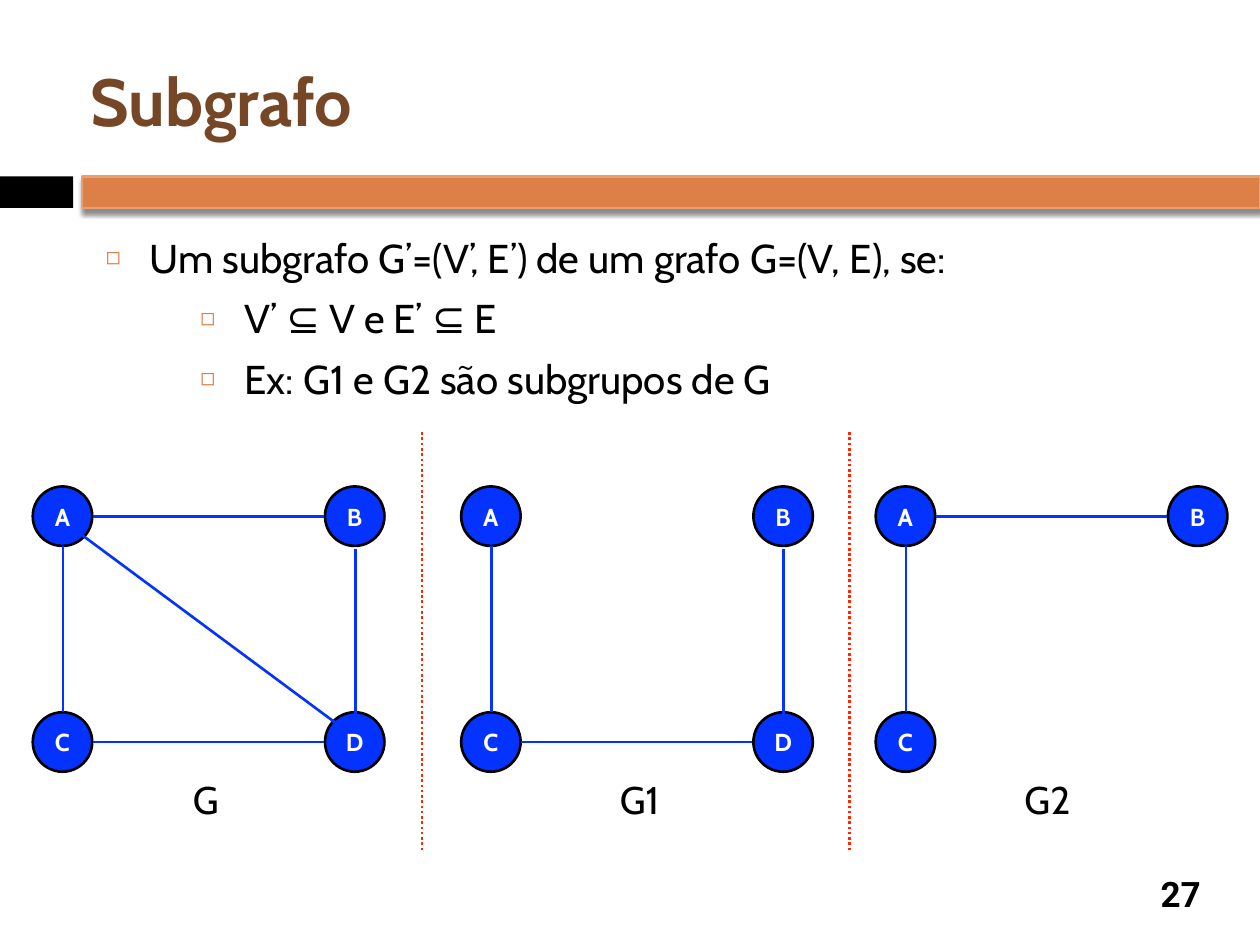
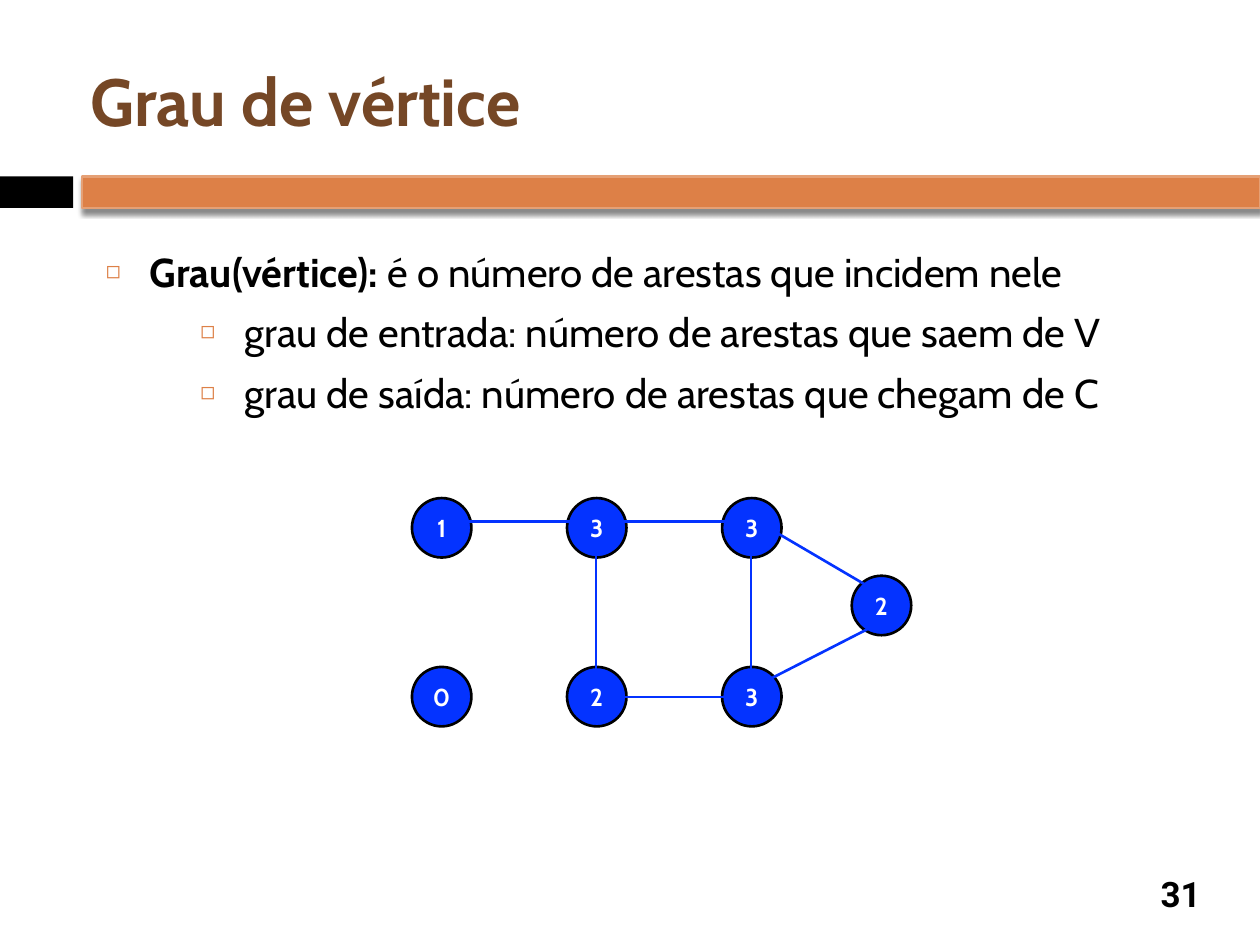
from lxml import etree
from pptx import Presentation
from pptx.dml.color import RGBColor
from pptx.enum.dml import MSO_LINE
from pptx.enum.shapes import MSO_CONNECTOR, MSO_SHAPE
from pptx.enum.text import MSO_ANCHOR as Anchor, MSO_AUTO_SIZE, PP_ALIGN as Align
from pptx.oxml import parse_xml
from pptx.oxml.ns import nsdecls, qn
from pptx.util import Pt

BLACK = RGBColor(0x00, 0x00, 0x00)
WHITE = RGBColor(0xFF, 0xFF, 0xFF)
BROWN = RGBColor(0x75, 0x47, 0x26)
ORANGE = RGBColor(0xDD, 0x80, 0x47)
LIGHT_ORANGE = RGBColor(0xE5, 0xA0, 0x75)
BLUE = RGBColor(0x04, 0x33, 0xFF)
RED = RGBColor(0xFF, 0x26, 0x00)

TITLE_FONT = {"name": "Cabin", "size": Pt(38), "bold": True}
BODY_FONT = {"name": "Cabin", "size": Pt(23), "bold": False}
NODE_FONT = {"name": "Cabin", "size": Pt(14), "bold": True}
CAPTION_FONT = {"name": "Cabin", "size": Pt(22), "bold": False}
NUMBER_FONT = {"name": "Roboto", "size": Pt(20), "bold": True}

FRAME = {
    "margin_left": Pt(3.6), "margin_top": Pt(3.6),
    "margin_right": Pt(3.6), "margin_bottom": Pt(3.6),
    "auto_size": MSO_AUTO_SIZE.NONE, "word_wrap": True,
}
TITLE_PLACE = {"left": Pt(48.24), "top": Pt(18), "width": Pt(642.24), "height": Pt(77.76)}
BODY_PLACE = {"left": Pt(56.88), "width": Pt(624.96), "height": Pt(114.5)}

NODE_SIZE = 34
LINE_WIDTH = Pt(1.5)

BULLET_XML = (
    f'<a:buClr {nsdecls("a")}><a:srgbClr val="{ORANGE}"/></a:buClr>',
    f'<a:buSzPct {nsdecls("a")} val="60000"/>',
    f'<a:buChar {nsdecls("a")} char="◻"/>',
)
SHADOW_XML = (
    f'<a:effectLst {nsdecls("a")}>'
    '<a:outerShdw blurRad="38100" dist="30480" dir="5400000" rotWithShape="0">'
    '<a:srgbClr val="000000"><a:alpha val="45000"/></a:srgbClr>'
    '</a:outerShdw></a:effectLst>'
)


def set_values(target, values):
    for name, value in values.items():
        setattr(target, name, value)


def write(shape, text, font, color, align=Align.CENTER, anchor=Anchor.MIDDLE):
    """Put one formatted paragraph into a shape."""
    frame = shape.text_frame
    set_values(frame, {**FRAME, "vertical_anchor": anchor})
    paragraph = frame.paragraphs[0]
    paragraph.alignment = align
    run = paragraph.add_run()
    run.text = text
    set_values(run.font, font)
    run.font.color.rgb = color


# Slide 1: three graphs on the same square of vertices
GRAPH_TOP, COLUMN_STEP, ROW_STEP = 278, 167, 129
CORNERS = {"A": (0, 0), "B": (COLUMN_STEP, 0),
           "C": (0, ROW_STEP), "D": (COLUMN_STEP, ROW_STEP)}
EDGES = {
    "AB": (34.5, 17, 166.5, 17),
    "CD": (34.5, 146, 166.5, 146),
    "AC": (17.3, 34, 17.3, 129),
    "BD": (184.3, 36, 184.3, 131),
    "AD": (26.6, 26.6, 173.5, 135.4),
}
GRAPHS = (
    (18.7, "ABCD", ("AB", "CD", "AC", "BD", "AD")),
    (263.5, "ABCD", ("CD", "AC", "BD")),
    (500.4, "ABC", ("AB", "AC")),
)
subgraph_nodes, subgraph_lines = [], []
for left, labels, edges in GRAPHS:
    for label in labels:
        x, y = CORNERS[label]
        subgraph_nodes.append((label, left + x, GRAPH_TOP + y))
    for edge in edges:
        x1, y1, x2, y2 = EDGES[edge]
        subgraph_lines.append((left + x1, GRAPH_TOP + y1, left + x2, GRAPH_TOP + y2))

# Slide 2: one graph, each vertex labelled with its degree
degree_nodes = [("2", 486.7, 329)]
for column, (upper, lower) in enumerate(("10", "32", "33")):
    x = 235.4 + 88.6 * column
    degree_nodes += [(upper, x, 284.6), (lower, x, 381.1)]
degree_lines = [
    (264.2, 298.1, 331.2, 298.1),
    (354.2, 298.1, 421.9, 298.1),
    (354.2, 398.2, 421.9, 398.2),
    (340.6, 383, 340.6, 308.2),
    (429.1, 391, 429.1, 316.1),
    (439.2, 301.7, 496.8, 335.5),
    (434.2, 391, 501.8, 356.4),
]

SLIDES = (
    {
        "title": "Subgrafo",
        "number": "27",
        "body_top": 129.6,
        "body": (
            (0, (("Um subgrafo G’=(V’, E’) de um grafo G=(V, E), se:", False),)),
            (1, (("V’ ⊆ V e E’ ⊆ E", False),)),
            (1, (("Ex: G1 e G2 são subgrupos de G", False),)),
        ),
        "nodes": subgraph_nodes,
        "lines": subgraph_lines,
        "dividers": [(x, 247, x, 486.7) for x in (241.2, 485.3)],
        "captions": (("G", 106.6, 25.2), ("G1", 350.6, 37.4), ("G2", 581.8, 37.4)),
    },
    {
        "title": "Grau de vértice",
        "number": "31",
        "body_top": 137.5,
        "body": (
            (0, (("Grau(vértice): ", True),
                 ("é o número de arestas que incidem nele", False))),
            (1, (("grau de entrada: número de arestas que saem de V", False),)),
            (1, (("grau de saída: número de arestas que chegam de C", False),)),
        ),
        "nodes": degree_nodes,
        "lines": degree_lines,
        "dividers": [],
        "captions": (),
    },
)

presentation = Presentation()
presentation.slide_width = Pt(720)
presentation.slide_height = Pt(540)

for content in SLIDES:
    slide = presentation.slides.add_slide(presentation.slide_layouts[1])
    shapes = slide.shapes

    # Bands under the title
    for left, width, color in ((0, 41.8, BLACK), (46.8, 673.2, ORANGE)):
        band = shapes.add_shape(MSO_SHAPE.RECTANGLE, Pt(left), Pt(100.8), Pt(width), Pt(18))
        band.fill.solid()
        band.fill.fore_color.rgb = color
        if color == ORANGE:
            band.line.color.rgb = LIGHT_ORANGE
            band.line.width = LINE_WIDTH
            band.element.spPr.append(parse_xml(SHADOW_XML))
        else:
            band.line.fill.background()
            band.shadow.inherit = False

    # Title and slide number
    set_values(shapes.title, TITLE_PLACE)
    write(shapes.title, content["title"], TITLE_FONT, BROWN, Align.LEFT)
    number = shapes.add_textbox(Pt(653.8), Pt(496), Pt(41.8), Pt(29.5))
    write(number, content["number"], NUMBER_FONT, BLACK)

    # Bulleted list
    body = slide.placeholders[1]
    set_values(body, {**BODY_PLACE, "top": Pt(content["body_top"])})
    frame = body.text_frame
    set_values(frame, {**FRAME, "vertical_anchor": Anchor.TOP})
    for index, (level, runs) in enumerate(content["body"]):
        paragraph = frame.add_paragraph() if index else frame.paragraphs[0]
        properties = paragraph._p.get_or_add_pPr()
        properties.set("marL", str(Pt(79.2 if level else 25.2)))
        properties.set("indent", str(-Pt(25.2)))
        for bullet_part in BULLET_XML:
            properties.append(parse_xml(bullet_part))
        set_values(paragraph, {"level": level, "alignment": Align.LEFT,
                               "space_before": Pt(7 if index else 0)})
        for text, bold in runs:
            run = paragraph.add_run()
            run.text = text
            set_values(run.font, {**BODY_FONT, "bold": bold})
            run.font.color.rgb = BLACK

    # Vertices
    for label, left, top in content["nodes"]:
        node = shapes.add_shape(MSO_SHAPE.OVAL, Pt(left), Pt(top), Pt(NODE_SIZE), Pt(NODE_SIZE))
        node.shadow.inherit = False
        node.fill.solid()
        node.fill.fore_color.rgb = BLUE
        node.line.color.rgb = BLACK
        node.line.width = LINE_WIDTH
        write(node, label, NODE_FONT, WHITE)

    # Graph names
    for text, left, width in content["captions"]:
        caption = shapes.add_textbox(Pt(left), Pt(440), Pt(width), Pt(31))
        write(caption, text, CAPTION_FONT, BLACK, Align.LEFT, Anchor.TOP)
        set_values(caption.text_frame, {"word_wrap": False,
                                        "auto_size": MSO_AUTO_SIZE.SHAPE_TO_FIT_TEXT})

    # Edges and the dotted dividers between graphs
    for color, dash, ends in ((BLUE, None, content["lines"]),
                              (RED, MSO_LINE.ROUND_DOT, content["dividers"])):
        for points in ends:
            line = shapes.add_connector(MSO_CONNECTOR.STRAIGHT, *(Pt(value) for value in points))
            line.line.color.rgb = color
            set_values(line.line, {"width": LINE_WIDTH, "dash_style": dash})
            etree.SubElement(line.element.spPr, qn("a:effectLst"))

presentation.save("out.pptx")
